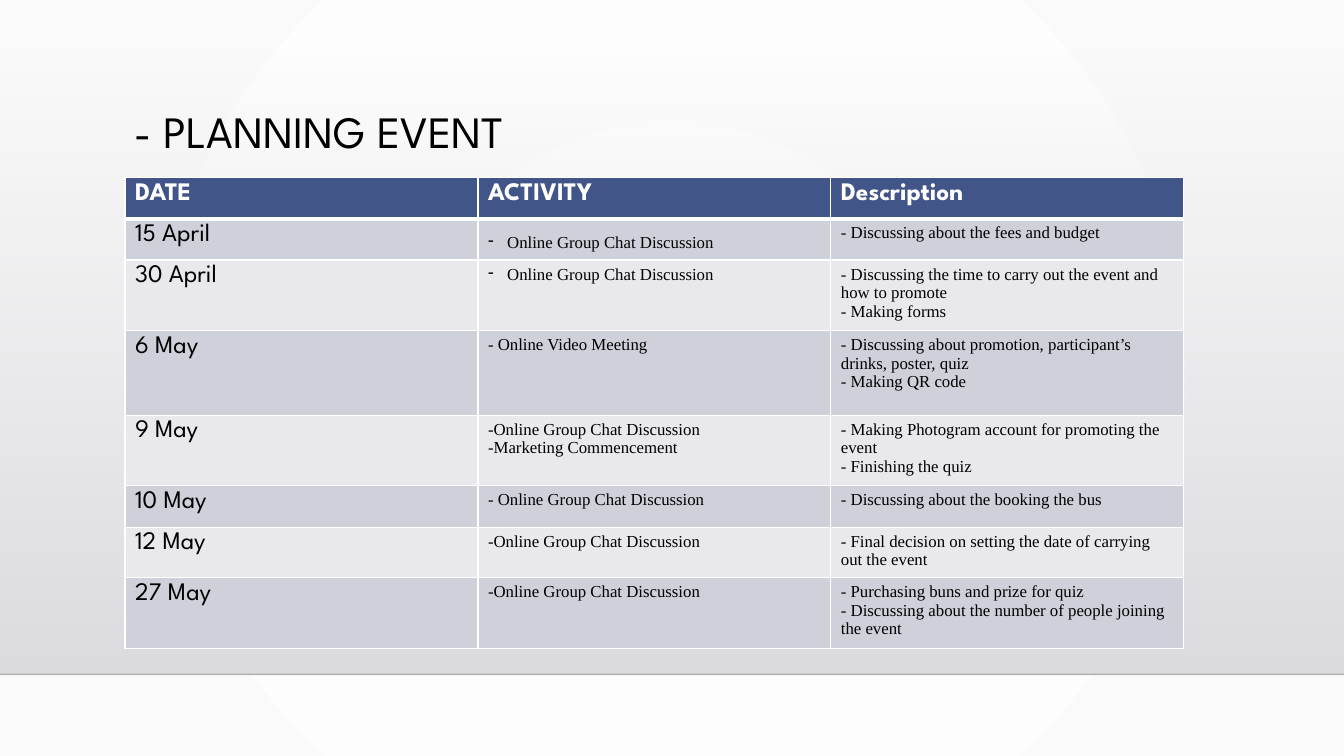
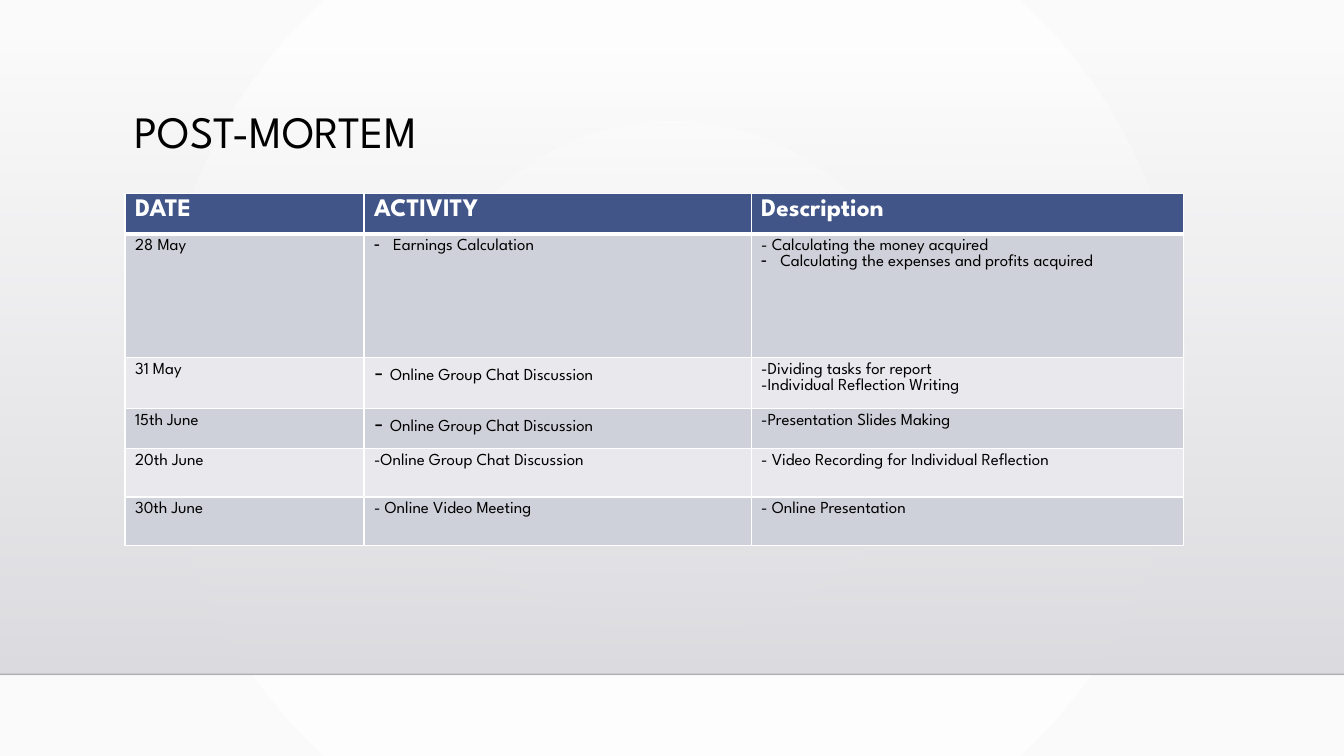
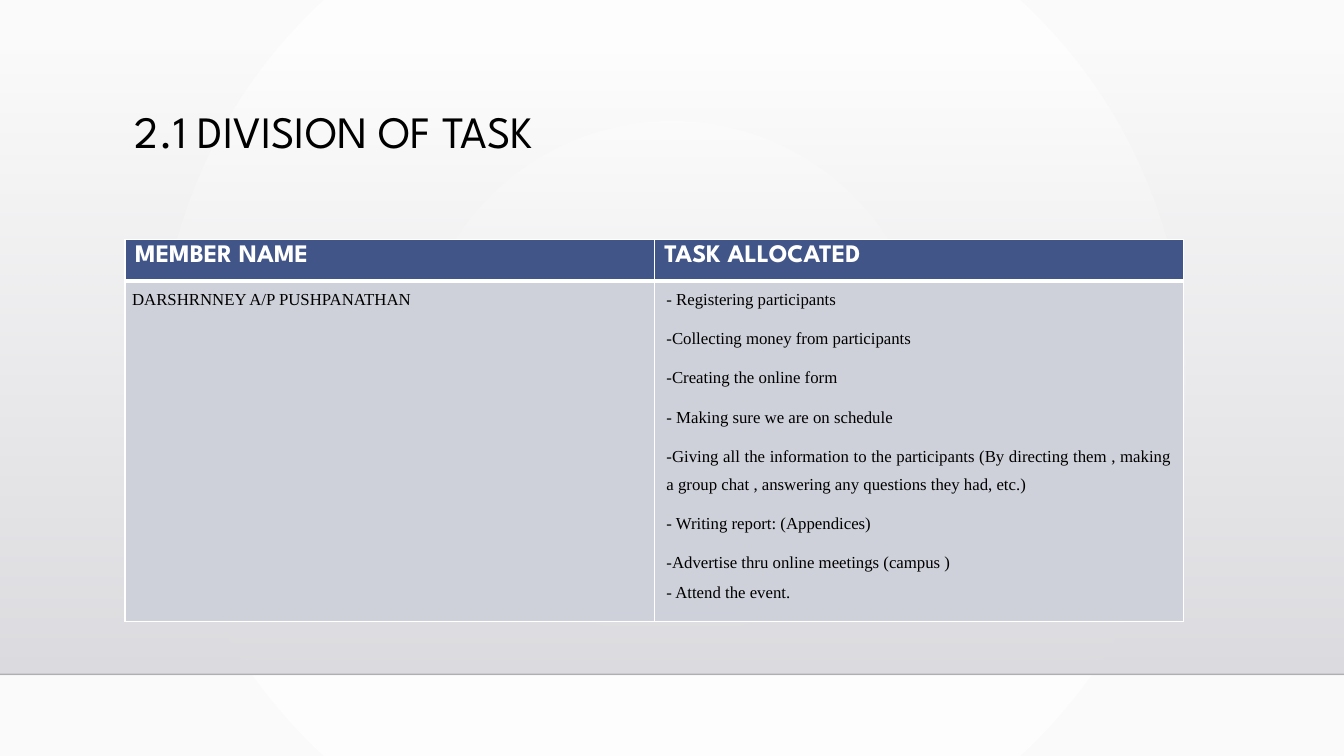
from lxml import etree
from pptx import Presentation
from pptx.dml.color import RGBColor
from pptx.enum.shapes import MSO_CONNECTOR, MSO_SHAPE
from pptx.enum.text import PP_ALIGN
from pptx.oxml import parse_xml
from pptx.oxml.ns import nsdecls, qn
from pptx.util import Inches, Pt

RECT = MSO_SHAPE.RECTANGLE
LINE = MSO_CONNECTOR.STRAIGHT
JUST = PP_ALIGN.JUSTIFY

COLORS = {
    "white": "FFFFFF",
    "paper": "FAFAFA",
    "mist": "DCDCE0",
    "haze": "DEDEE2",
    "rule": "000001",
    "ink": "000000",
    "head": "415588",
    "odd": "CFD1DA",
    "even": "E9E9ED",
}
SANS = "League Spartan"
SERIF = "Times New Roman"
LEFT, WIDTH = 1.24, 10.5
PAGE_W, PAGE_H = 13.33, 7.5
FLOOR = 6.69

BIG = (SANS, 18)
SMALL = (SANS, 12)
BODY = (SERIF, 12)

CHAT = "Online Group Chat Discussion"
MEET = "- Online Video Meeting"

PLAN = [
    ["DATE", "ACTIVITY", "Description"],
    ["15 April", [(CHAT, "bullet", "loose")],
     "- Discussing about the fees and budget"],
    ["30 April", [(CHAT, "bullet")],
     ["- Discussing the time to carry out the event and how to promote",
      "- Making forms"]],
    ["6 May", MEET,
     ["- Discussing about promotion, participant’s drinks, poster, quiz",
      "- Making QR code"]],
    ["9 May", ["-" + CHAT, "-Marketing Commencement"],
     ["- Making Photogram account for promoting the event",
      "- Finishing the quiz"]],
    ["10 May", "- " + CHAT, "- Discussing about the booking the bus"],
    ["12 May", "-" + CHAT,
     "- Final decision on setting the date of carrying out the event"],
    ["27 May", "-" + CHAT,
     ["- Purchasing buns and prize for quiz",
      "- Discussing about the number of people joining the event"]],
]

REVIEW = [
    ["DATE", "ACTIVITY", "Description"],
    ["28 May", [("Earnings Calculation", "bullet")],
     ["- Calculating the money acquired",
      ("Calculating the expenses and profits acquired", "bullet")]],
    ["31 May", [(CHAT, "dash")],
     ["-Dividing tasks for report", "-Individual Reflection Writing"]],
    ["15th June", [(CHAT, "dash")], "-Presentation Slides Making"],
    ["20th June", "-" + CHAT, "- Video Recording for Individual Reflection"],
    ["30th June", MEET, "- Online Presentation"],
]

DUTIES = [
    "- Registering participants",
    "-Collecting money from participants",
    "-Creating the online form",
    "- Making sure we are on schedule",
    "-Giving all the information to the participants (By directing them , "
    "making a group chat , answering any questions they had, etc.)",
    "- Writing report: (Appendices)",
    "-Advertise thru online meetings (campus )",
]
TASKS = [
    ["MEMBER NAME", "TASK ALLOCATED"],
    [[("DARSHRNNEY A/P PUSHPANATHAN", "loose")],
     [(duty, "loose") for duty in DUTIES] + ["- Attend the event."]],
]


def rgb(name):
    return RGBColor.from_string(COLORS[name])


def fade(props, start, end, alpha, shade):
    old = props.find(qn("a:noFill"))
    props.replace(old, parse_xml(
        f'<a:gradFill {nsdecls("a")} rotWithShape="1"><a:gsLst>'
        f'<a:gs pos="0"><a:srgbClr val="{COLORS[start]}">'
        f'<a:alpha val="{alpha * 1000}"/></a:srgbClr></a:gs>'
        f'<a:gs pos="100000"><a:srgbClr val="{COLORS[end]}"/></a:gs>'
        f'</a:gsLst>{shade}</a:gradFill>'))


def dress(master, slide):
    master.background.fill.background()
    fade(master.element.xpath("./p:cSld/p:bg/p:bgPr")[0], "white", "paper", 100,
         '<a:path path="circle"><a:fillToRect l="50000" t="50000" '
         'r="50000" b="50000"/></a:path>')

    band = slide.shapes.add_shape(
        RECT, 0, Inches(0.51), Inches(PAGE_W), Inches(FLOOR - 0.51))
    band.shadow.inherit = False
    band.line.fill.background()
    band.fill.background()
    fade(band.element.spPr, "mist", "haze", 0, '<a:lin ang="5400000" scaled="0"/>')

    rule = slide.shapes.add_connector(
        LINE, 0, Inches(FLOOR), Inches(PAGE_W), Inches(FLOOR))
    rule.line.color.rgb = rgb("rule")
    rule.line.width = Pt(1)
    props = rule.element.spPr
    tint = props.find(".//" + qn("a:srgbClr"))
    etree.SubElement(tint, qn("a:alpha")).set("val", "20000")
    etree.SubElement(props, qn("a:effectLst"))

    for num, part in enumerate((band, rule), 101):
        part.element.xpath(".//p:cNvPr")[0].set("id", str(num))
        master.shapes.element.append(part.element)


def style(run, font, color, bold=False):
    run.font.name, size = font
    run.font.size = Pt(size)
    run.font.bold = bold
    run.font.color.rgb = rgb(color)


def add_title(slide, text):
    box = slide.shapes.add_textbox(
        Inches(LEFT), Inches(1.04), Inches(WIDTH), Inches(1.15))
    frame = box.text_frame
    frame.word_wrap = True
    frame.text = text
    para = frame.paragraphs[0]
    para.line_spacing = 0.9
    style(para.runs[0], (SANS, 32), "ink")


def add_bullet(para):
    props = para._p.get_or_add_pPr()
    props.set("marL", str(Inches(0.19)))
    props.set("indent", str(-Inches(0.19)))
    etree.SubElement(props, qn("a:buChar")).set("char", "-")


def write(para, line, font, color, bold):
    text, *marks = (line,) if isinstance(line, str) else line
    if "bullet" in marks:
        add_bullet(para)
    if "loose" in marks:
        para.alignment = JUST
        para.line_spacing = 1.5
        para.space_after = Pt(8)
    if "dash" in marks:
        para.text = "- "
        para.add_run().text = text
    else:
        para.text = text
    for run in para.runs:
        style(run, font, color, bold)
    if "dash" in marks:
        para.runs[0].font.size = Pt(18)


def edge(cell, row):
    props = cell._tc.get_or_add_tcPr()
    thick = {"T": row == 1, "B": row == 0}
    for spot, side in enumerate("LRTB"):
        wide = Pt(3 if thick.get(side) else 1)
        props.insert(spot, parse_xml(
            f'<a:ln{side} {nsdecls("a")} w="{wide}"><a:solidFill>'
            f'<a:srgbClr val="{COLORS["white"]}"/></a:solidFill></a:ln{side}>'))


def fill_cell(cell, value, row, font):
    head = row == 0
    cell.fill.solid()
    cell.fill.fore_color.rgb = rgb("head" if head else "odd" if row % 2 else "even")
    edge(cell, row)
    lines = [value] if isinstance(value, str) else value
    frame = cell.text_frame
    for spot, line in enumerate(lines):
        para = frame.add_paragraph() if spot else frame.paragraphs[0]
        write(para, line, BIG if head else font, "white" if head else "ink", head)


def add_grid(slide, top, data, cols, rows, fonts, pads=()):
    grid = slide.shapes.add_table(
        len(rows), len(cols), Inches(LEFT), Inches(top),
        Inches(WIDTH), Inches(sum(rows))).table
    for col, wide in zip(grid.columns, cols):
        col.width = Inches(wide)
    for row, tall in zip(grid.rows, rows):
        row.height = Inches(tall)
    for row, values in enumerate(data):
        for col, value in enumerate(values):
            fill_cell(grid.cell(row, col), value, row, fonts[col])
    for col, pad in enumerate(pads):
        cell = grid.cell(1, col)
        cell.margin_left = cell.margin_right = Inches(pad)
        cell.margin_top = cell.margin_bottom = 0


def main():
    deck = Presentation()
    deck.slide_width, deck.slide_height = Inches(PAGE_W), Inches(PAGE_H)
    plan, review, tasks = [
        deck.slides.add_slide(deck.slide_layouts[6]) for _ in range(3)]
    dress(deck.slide_master, plan)

    add_title(plan, "- PLANNING EVENT")
    add_grid(plan, 1.76, PLAN, [WIDTH / 3] * 3,
             [0.41, 0.41, 0.65, 0.84, 0.65, 0.41, 0.47, 0.65], [BIG, BODY, BODY])

    add_title(review, "POST-MORTEM")
    add_grid(review, 1.92, REVIEW, [2.37, 3.84, 4.29],
             [0.33, 1.23, 0.41, 0.34, 0.48, 0.48], [SMALL] * 3)

    add_title(tasks, "2.1 DIVISION OF TASK")
    add_grid(tasks, 2.38, TASKS, [WIDTH / 2] * 2, [0.41, 3.18], [BODY] * 2,
             pads=[0.07, 0.12])

    deck.save("out.pptx")


if __name__ == "__main__":
    main()
